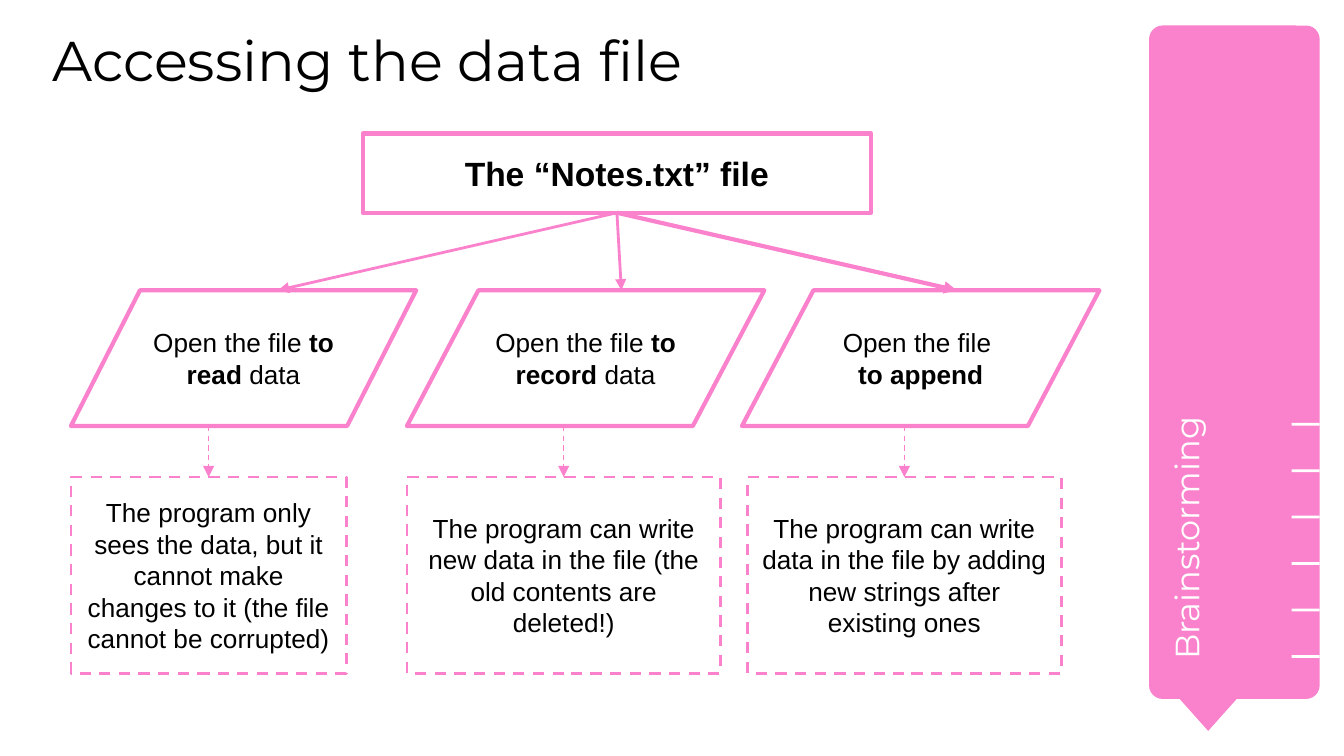
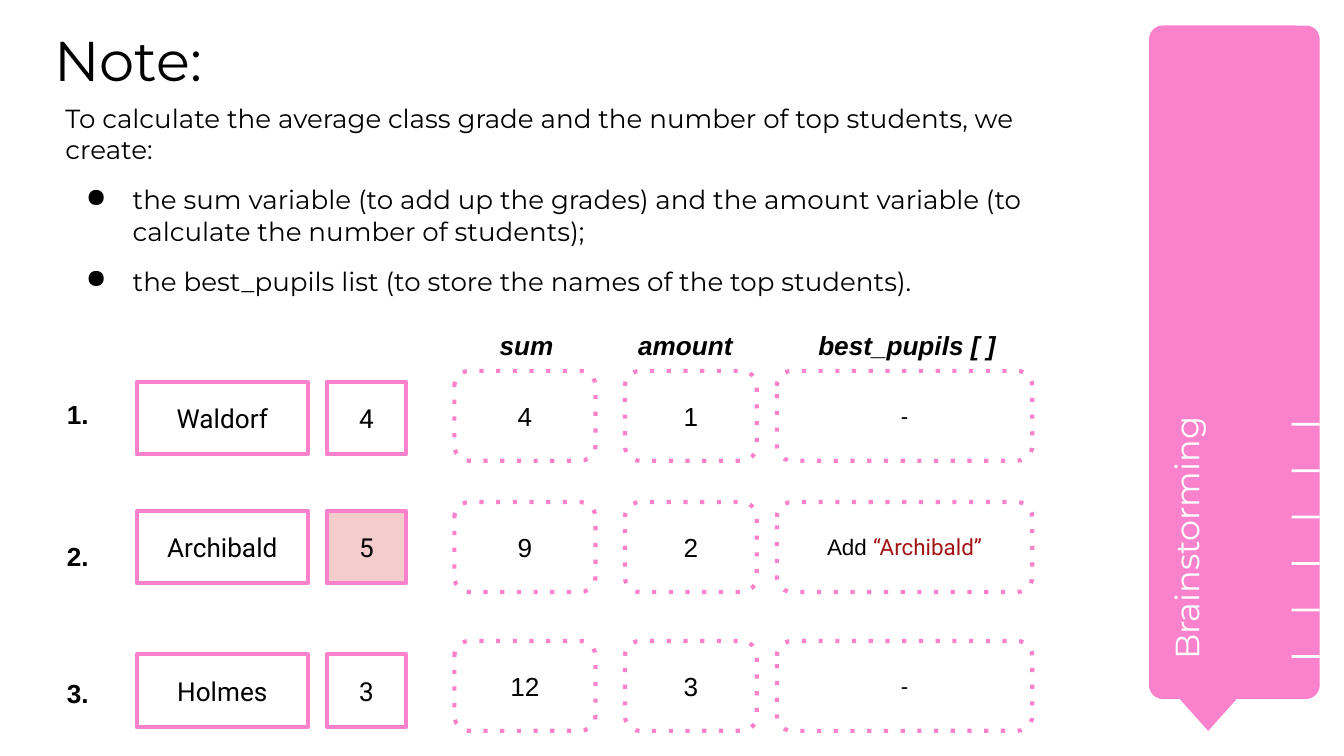
from lxml.etree import SubElement
from pptx import Presentation
from pptx.dml.color import RGBColor
from pptx.enum.shapes import MSO_CONNECTOR, MSO_SHAPE
from pptx.enum.text import MSO_ANCHOR, MSO_AUTO_SIZE, PP_ALIGN
from pptx.oxml.ns import qn
from pptx.util import Pt

PINK, WHITE, BLACK = "FA82CC", "FFFFFF", "000000"
ROSE, RED = "F4CCCC", "A31515"
SANS, HEAD, ROBOTO = "Arial", "Montserrat", "Roboto"
BOLD = {"bold": True}

SIDE = "Brainstorming"
FILE = "The “Notes.txt” file"
MODES = [
    {"gate": (38, 185), "note": (38, 147.5), "line": 1.5,
     "open": [["Open the file ", ("to read ", BOLD), "data"]],
     "text": "The program only sees the data, but it cannot make "
             "changes to it (the file cannot be corrupted)"},
    {"gate": (218, 191.5), "note": (218, 168), "line": 1.5,
     "open": [["Open the file ", ("to record ", BOLD), "data"]],
     "text": "The program can write new data in the file "
             "(the old contents are deleted!)"},
    {"gate": (397.5, 191.5), "note": (400.5, 168), "line": 2.25,
     "open": [["Open the file "], [("to append", BOLD)]],
     "text": "The program can write data in the file by adding "
             "new strings after existing ones"},
]

INTRO = "To calculate the average class grade and the number of top students, we create:"
ITEMS = [
    "the sum variable (to add up the grades) and the amount variable "
    "(to calculate the number of students);",
    "the best_pupils list (to store the names of the top students).",
]
HEADS = [("sum", 260.6, 48.2), ("amount", 334.8, 70.6), ("best_pupils [ ]", 431.3, 110.9)]
TILES = [(73.4, 91.5), (175, 42.5)]
CELLS = [(243.4, 75.6, 14), (334.8, 70.6, 14), (416.2, 136.8, 12)]
ADD = ["Add ", ("“Archibald”", {"font": ROBOTO, "color": RED})]
ROWS = [
    {"tops": (206, 204.5, 198.7), "tiles": ["Waldorf", "4"], "cells": ["4", "1", "-"]},
    {"tops": (282.2, 273.6, 269), "tiles": ["Archibald", "5"], "cells": ["9", "2", ADD]},
    {"tops": (355.7, 350.6, 343.4), "tiles": ["Holmes", "3"], "cells": ["12", "3", "-"]},
]


def rgb(code):
    return RGBColor.from_string(code)


def style(run, size=14, font=SANS, color=BLACK, bold=False, italic=False):
    run.font.size = Pt(size)
    run.font.name = font
    run.font.color.rgb = rgb(color)
    run.font.bold = bold
    run.font.italic = italic


def write(shape, paras, align=PP_ALIGN.LEFT, anchor=MSO_ANCHOR.TOP, inset=7.2, **look):
    frame = shape.text_frame
    frame.word_wrap = True
    frame.auto_size = MSO_AUTO_SIZE.NONE
    frame.vertical_anchor = anchor
    frame.margin_left = frame.margin_right = Pt(inset)
    frame.margin_top = frame.margin_bottom = Pt(inset)
    for num, para in enumerate([paras] if isinstance(paras, str) else paras):
        line = frame.add_paragraph() if num else frame.paragraphs[0]
        line.alignment = align
        for part in [para] if isinstance(para, str) else para:
            words, extra = (part, {}) if isinstance(part, str) else part
            run = line.add_run()
            run.text = words
            style(run, **{**look, **extra})
    return frame


def label(slide, area, paras, **look):
    box = slide.shapes.add_textbox(*map(Pt, area))
    write(box, paras, **look)
    return box


def stroke(item, width, dash=None, tip=False):
    item.line.color.rgb = rgb(PINK)
    item.line.width = Pt(width)
    line = item._element.spPr.find(qn("a:ln"))
    if dash:
        SubElement(line, qn("a:prstDash")).set("val", dash)
    if tip:
        SubElement(line, qn("a:tailEnd")).set("type", "triangle")


def form(shapes, kind, area, fill=WHITE, width=0, dash=None):
    item = shapes.add_shape(kind, *map(Pt, area))
    item.shadow.inherit = False
    item.fill.solid()
    item.fill.fore_color.rgb = rgb(fill)
    if width:
        stroke(item, width, dash)
    else:
        item.line.fill.background()
    return item


def block(slide, kind, area, paras, fill=WHITE, width=2.25, dash=None, **look):
    item = form(slide.shapes, kind, area, fill, width, dash)
    write(item, paras, align=PP_ALIGN.CENTER, anchor=MSO_ANCHOR.MIDDLE, **look)


def arrow(slide, start, end, width, dash=None):
    item = slide.shapes.add_connector(MSO_CONNECTOR.STRAIGHT, *map(Pt, start + end))
    stroke(item, width, dash, tip=True)
    SubElement(item._element.spPr, qn("a:effectLst"))


def start(deck, title, left, high):
    slide = deck.slides.add_slide(deck.slide_layouts[5])
    group = slide.shapes.add_group_shape().shapes
    band = form(group, MSO_SHAPE.ROUNDED_RECTANGLE, (615.6, 13.7, 91.4, 360.8), PINK)
    band.adjustments[0] = 0.08
    form(group, MSO_SHAPE.FLOWCHART_MERGE, (623.5, 365, 47.5, 26.6), PINK)
    side = label(slide, (514, 208.8, 255, 48.2), SIDE, size=18, font=HEAD, color=WHITE)
    side.rotation = 270
    for num in range(6):
        form(slide.shapes, MSO_SHAPE.RECTANGLE, (692, 226.5 + 24.9 * num, 15, 1.5))
    head = slide.shapes.title
    head.left, head.top, head.width, head.height = map(Pt, (left, 13.7, 571.7, high))
    write(head, title, inset=0, size=30, font=HEAD)
    return slide


def access(deck):
    slide = start(deck, "Accessing the data file", 28, 49.7)
    left, top, wide, high = root = (194.4, 71.5, 272.2, 42.5)
    block(slide, MSO_SHAPE.RECTANGLE, root, FILE, size=18, bold=True)
    stem = (left + wide / 2, top + high)
    gate_y, gate_h, note_y, note_h = 155.5, 72.7, 255.6, 105.1
    for mode in MODES:
        left, wide = mode["gate"]
        block(slide, MSO_SHAPE.FLOWCHART_DATA, (left, gate_y, wide, gate_h), mode["open"])
        arrow(slide, stem, (left + wide * 0.6, gate_y), mode["line"])
        left, wide = mode["note"]
        block(slide, MSO_SHAPE.RECTANGLE, (left, note_y, wide, note_h), mode["text"],
              width=1.5, dash="dash")
        mid = left + wide / 2
        arrow(slide, (mid, gate_y + gate_h), (mid, note_y), 0.75, "dash")


def note(deck):
    slide = start(deck, "Note:", 29, 56.2)
    body = label(slide, (28, 47.5, 571.7, 87), [INTRO] + ITEMS, font=HEAD)
    for item in body.text_frame.paragraphs[1:]:
        item.space_before = Pt(10)
        props = item._p.get_or_add_pPr()
        props.set("marL", str(Pt(36)))
        props.set("indent", str(-Pt(25)))
        SubElement(SubElement(props, qn("a:buClr")), qn("a:srgbClr")).set("val", BLACK)
        SubElement(props, qn("a:buChar")).set("char", "●")
    for text, left, wide in HEADS:
        label(slide, (left, 169.2, wide, 21.6), text, bold=True, italic=True)
    for num, row in enumerate(ROWS, 1):
        mark, tile, cell = row["tops"]
        label(slide, (28.8, mark, 28.8, 30.2), f"{num}.", bold=True)
        for (left, wide), text in zip(TILES, row["tiles"]):
            block(slide, MSO_SHAPE.RECTANGLE, (left, tile, wide, 39), text,
                  fill=ROSE if text == "5" else WHITE, font=ROBOTO)
        for (left, wide, size), text in zip(CELLS, row["cells"]):
            block(slide, MSO_SHAPE.FLOWCHART_ALTERNATE_PROCESS, (left, cell, wide, 48.2),
                  [text], dash="dot", size=size)


def main():
    deck = Presentation()
    deck.slide_width, deck.slide_height = Pt(720), Pt(405)
    access(deck)
    note(deck)
    deck.save("out.pptx")


if __name__ == "__main__":
    main()
